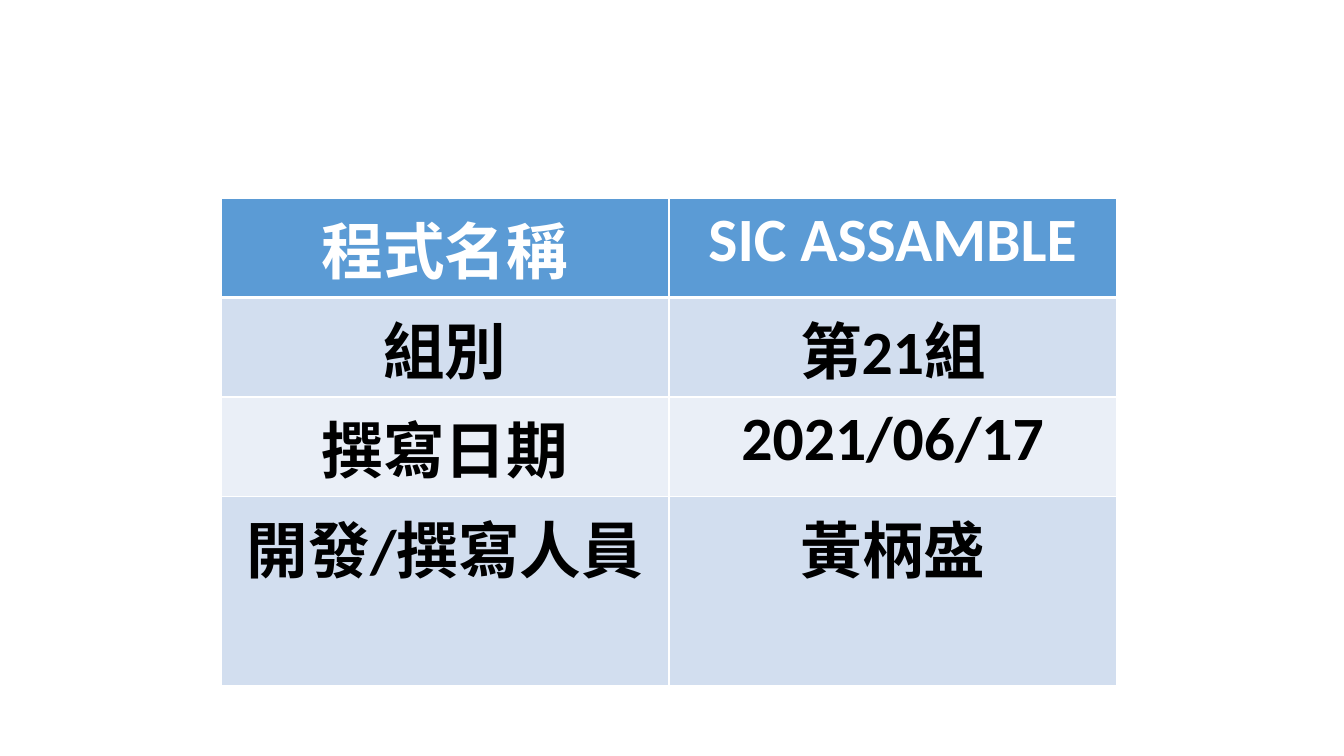
from pptx import Presentation
from pptx.dml.color import RGBColor
from pptx.enum.text import PP_ALIGN
from pptx.oxml import parse_xml
from pptx.oxml.ns import nsdecls
from pptx.util import Emu, Pt

PIXEL = 914400 / 100.8


def px(length):
    return Emu(round(length * PIXEL))


def color(value):
    return RGBColor.from_string(value)


class SlideBuilder:
    font = "Calibri"
    size = 44
    white, black = "FFFFFF", "000000"
    header, bands = "5B9BD5", ("D2DEEF", "EAEFF7")

    def __init__(self, deck):
        self.page = deck.slides.add_slide(deck.slide_layouts[6])

    def table(self, left, top, width, row_height, rows):
        frame = self.page.shapes.add_table(
            len(rows), len(rows[0]), px(left), px(top),
            px(width), px(row_height * len(rows)))
        for row_index, row in enumerate(rows):
            is_header = row_index == 0
            fill = self.header if is_header else self.bands[(row_index - 1) % 2]
            text_color = self.white if is_header else self.black
            for column_index, text in enumerate(row):
                cell = frame.table.cell(row_index, column_index)
                # The line under the header is thicker, on both cells that share it
                self.borders(cell, top=3 if row_index == 1 else 1,
                             bottom=3 if is_header else 1)
                self.cell(cell, text, fill, text_color)

    def cell(self, cell, text, fill, text_color):
        cell.fill.solid()
        cell.fill.fore_color.rgb = color(fill)
        cell.text = text
        para = cell.text_frame.paragraphs[0]
        para.alignment = PP_ALIGN.CENTER
        para.font.name = self.font
        para.font.size = Pt(self.size)
        para.font.bold = True
        para.font.color.rgb = color(text_color)

    def borders(self, cell, top, bottom):
        properties = cell._tc.get_or_add_tcPr()
        for side, width in (("L", 1), ("R", 1), ("T", top), ("B", bottom)):
            properties.append(parse_xml(
                f'<a:ln{side} {nsdecls("a")} w="{Pt(width)}"><a:solidFill>'
                f'<a:srgbClr val="{self.white}"/></a:solidFill></a:ln{side}>'))


deck = Presentation()
deck.slide_width, deck.slide_height = px(1344), px(756)
builder = SlideBuilder(deck)

# Program details
builder.table(221, 198, 896, 88, [
    ("程式名稱", "SIC ASSAMBLE"),
    ("組別", "第21組"),
    ("撰寫日期", "2021/06/17"),
    ("開發/撰寫人員", "黃柄盛"),
])

deck.save("out.pptx")
